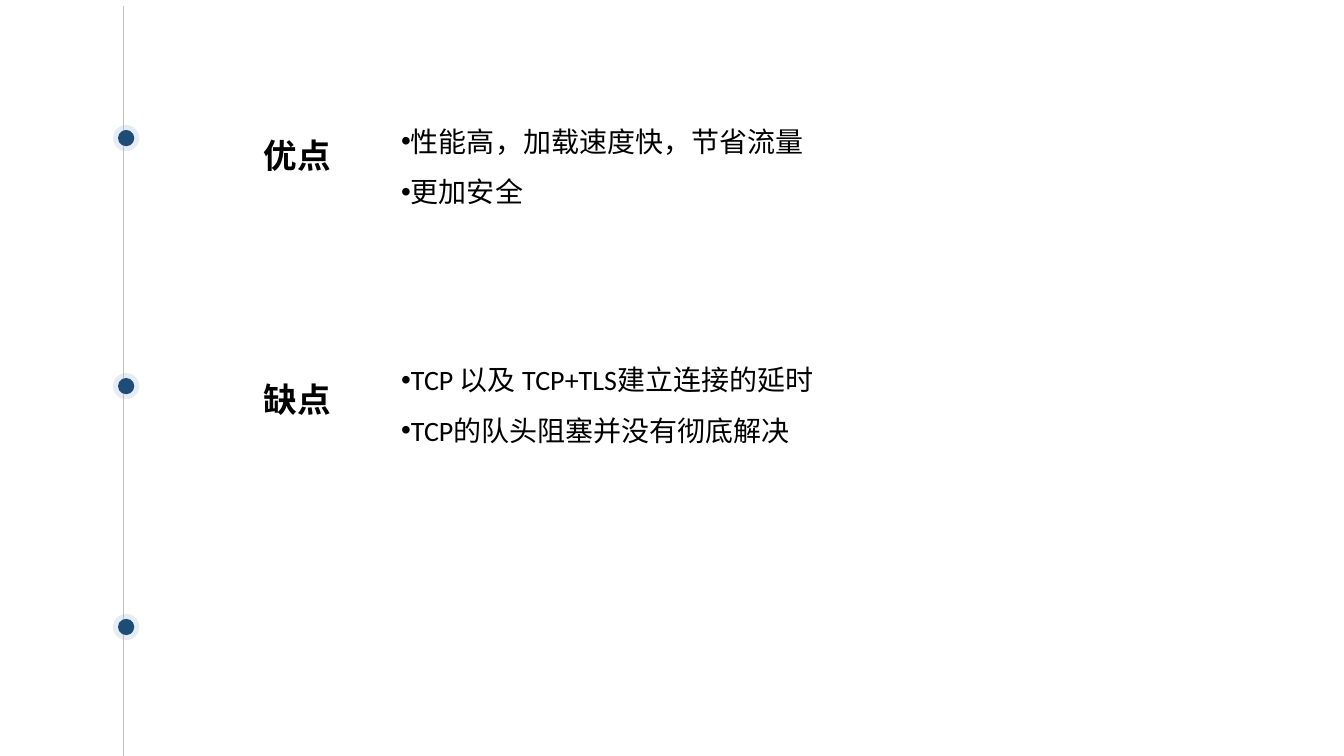
"""Build a timeline slide listing advantages and drawbacks."""
from lxml import etree
from pptx import Presentation, util as u
from pptx.dml.color import RGBColor
from pptx.enum import shapes, text
from pptx.oxml import ns

Cm = u.Cm
COLORS = {"axis": "BFBFBF", "halo": "9FB8D6", "dot": "1D4C77", "text": "000000"}
HALO_ALPHA = "26000"
MARKER_X = 3.18
MARKER_YS = [3.48, 9.73, 15.8]
SECTIONS = [
    ("优点", 3.28, 2.59, ["性能高，加载速度快，节省流量", "更加安全"]),
    ("缺点", 9.42, 8.59, ["TCP 以及 TCP+TLS建立连接的延时", "TCP的队头阻塞并没有彻底解决"]),
]


def add_text_frame(left, top, width, height):
    frame = slide.shapes.add_textbox(Cm(left), Cm(top), Cm(width), Cm(height)).text_frame
    frame.word_wrap = True
    frame.auto_size = text.MSO_AUTO_SIZE.SHAPE_TO_FIT_TEXT
    return frame


def add_run(paragraph, wording, size, bold):
    run = paragraph.add_run()
    run.text = wording
    run.font.name = "Calibri"
    run.font.size = u.Pt(size)
    run.font.bold = bold
    run.font.color.rgb = RGBColor.from_string(COLORS["text"])


prs = Presentation()
prs.slide_width, prs.slide_height = Cm(33.87), Cm(19.05)
slide = prs.slides.add_slide(prs.slide_layouts[6])

axis = slide.shapes.add_connector(
    shapes.MSO_CONNECTOR.STRAIGHT, Cm(3.12), Cm(0.15), Cm(3.12), prs.slide_height)
axis.line.color.rgb = RGBColor.from_string(COLORS["axis"])
axis.line.width = u.Pt(0.5)
etree.SubElement(axis._element.spPr, ns.qn("a:effectLst"))

for marker_y in MARKER_YS:
    marker = slide.shapes.add_group_shape()
    for part, diameter in (("halo", 0.66), ("dot", 0.41)):
        circle = marker.shapes.add_shape(
            shapes.MSO_SHAPE.OVAL, Cm(MARKER_X - diameter / 2), Cm(marker_y - diameter / 2),
            Cm(diameter), Cm(diameter))
        circle.shadow.inherit = False
        circle.line.fill.background()
        circle.fill.solid()
        circle.fill.fore_color.rgb = RGBColor.from_string(COLORS[part])
        if part == "halo":
            tint = circle._element.spPr.find(".//" + ns.qn("a:srgbClr"))
            etree.SubElement(tint, ns.qn("a:alpha"), val=HALO_ALPHA)

for heading, heading_top, points_top, points in SECTIONS:
    heading_frame = add_text_frame(6.4, heading_top, 3.45, 1.27)
    add_run(heading_frame.paragraphs[0], heading, 24, True)

    points_frame = add_text_frame(9.86, points_top, 16.94, 2.67)
    for index, point in enumerate(points):
        paragraph = points_frame.add_paragraph() if index else points_frame.paragraphs[0]
        paragraph.line_spacing = 1.5
        properties = paragraph._p.get_or_add_pPr()
        etree.SubElement(properties, ns.qn("a:buFont"), typeface="Arial")
        etree.SubElement(properties, ns.qn("a:buChar"), char="•")
        add_run(paragraph, point, 20, False)

prs.save("out.pptx")
